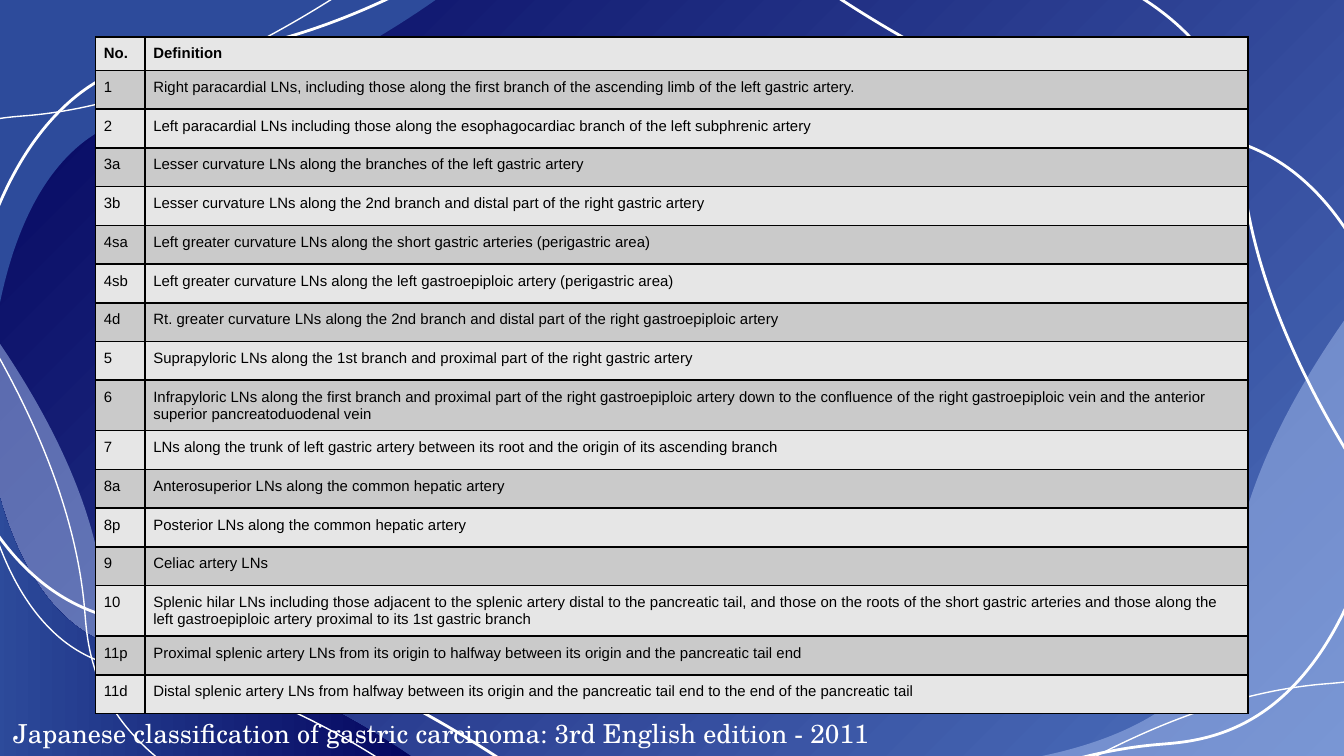
"""Slide listing the lymph node stations of the Japanese gastric carcinoma classification."""
import lxml.etree
import pptx
import pptx.dml.color
import pptx.enum.text
import pptx.oxml.ns
import pptx.util

Pt = pptx.util.Pt
qn = pptx.oxml.ns.qn

INK, WHITE = "000000", "FFFFFF"
NAVY, ROYAL, MID_BLUE, PALE_BLUE = "03045E", "2D4B9B", "4E72BE", "A0B7E9"
ROW_FILLS = ("E6E6E6", "CACACA")

WAVE_RATIO = 1.44
CORNERS = [(0, 0), (0, 1), (1, 1)]
CREST = [
    [(0.725, 0.724), (0.525, 0.644), (0.389, 0.627)],
    [(0.349, 0.622), (0.272, 0.618), (0.194, 0.533)],
    [(0.077, 0.404), (0.025, 0.173), (0, 0)],
]

FILLED_WAVES = [
    (522.4, 207.4, 270, False, PALE_BLUE, 53),
    (0, 0, 180, True, ROYAL, 100),
    (-40.3, 213.1, 90, True, PALE_BLUE, 53),
    (-4.3, 249.1, 0, False, (NAVY, ROYAL), 100),
]
LINE_WAVES = [
    (-10.1, 257.8, 162, 0, False, 0.75),
    (-38.2, 193.7, 225.4, 0, False, 1.5),
    (-82.8, 183.6, 216, 90, True, 0.75),
    (430.6, -13.7, 225.4, 180, False, 1.5),
    (482.4, 15.8, 216, 270, True, 1.5),
    (518.4, 231.1, 216, 0, True, 0.75),
    (429.8, 263.5, 216, 0, True, 1.5),
    (-105.8, -18.7, 216, 180, True, 0.75),
    (-17.3, -51.1, 216, 180, True, 1.5),
]

STATIONS = [
    ("No.", "Definition"),
    ("1", "Right paracardial LNs, including those along the first branch of the ascending limb of the left gastric artery."),
    ("2", "Left paracardial LNs including those along the esophagocardiac branch of the left subphrenic artery"),
    ("3a", "Lesser curvature LNs along the branches of the left gastric artery"),
    ("3b", "Lesser curvature LNs along the 2nd branch and distal part of the right gastric artery"),
    ("4sa", "Left greater curvature LNs along the short gastric arteries (perigastric area)"),
    ("4sb", "Left greater curvature LNs along the left gastroepiploic artery (perigastric area)"),
    ("4d", "Rt. greater curvature LNs along the 2nd branch and distal part of the right gastroepiploic artery"),
    ("5", "Suprapyloric LNs along the 1st branch and proximal part of the right gastric artery"),
    ("6", "Infrapyloric LNs along the first branch and proximal part of the right gastroepiploic artery down to "
          "the confluence of the right gastroepiploic vein and the anterior superior pancreatoduodenal vein"),
    ("7", "LNs along the trunk of left gastric artery between its root and the origin of its ascending branch"),
    ("8a", "Anterosuperior LNs along the common hepatic artery"),
    ("8p", "Posterior LNs along the common hepatic artery"),
    ("9", "Celiac artery LNs"),
    ("10", "Splenic hilar LNs including those adjacent to the splenic artery distal to the pancreatic tail, and those "
           "on the roots of the short gastric arteries and those along the left gastroepiploic artery proximal to "
           "its 1st gastric branch"),
    ("11p", "Proximal splenic artery LNs from its origin to halfway between its origin and the pancreatic tail end"),
    ("11d", "Distal splenic artery LNs from halfway between its origin and the pancreatic tail end to the end of "
            "the pancreatic tail"),
]


def rgb(code):
    return pptx.dml.color.RGBColor.from_string(code)


class Deck:
    def __init__(self, slide):
        self.slide = slide

    def gradient(self, fill, colours, angle):
        fill.gradient()
        fill.gradient_angle = angle
        for stop, colour in zip(fill.gradient_stops, colours):
            stop.color.rgb = rgb(colour)

    def background(self, colours, angle):
        self.gradient(self.slide.background.fill, colours, angle)

    def wave(self, left, top, height, rotation, mirrored):
        width = height * WAVE_RATIO

        def place(point):
            x, y = point
            return Pt(width * (1 - x if mirrored else x)), Pt(height * y)

        anchors = [place(point) for point in CORNERS + [curve[-1] for curve in CREST]]
        builder = self.slide.shapes.build_freeform(*anchors[0], scale=1.0)
        builder.add_line_segments(anchors[1:], close=True)
        wave = builder.convert_to_shape(Pt(left), Pt(top))
        outline = wave._element.spPr.find(".//" + qn("a:path"))
        chords = outline.findall(qn("a:lnTo"))[len(CORNERS) - 1:]
        for chord, curve in zip(chords, CREST):
            bend = lxml.etree.Element(qn("a:cubicBezTo"))
            for x, y in map(place, curve):
                lxml.etree.SubElement(bend, qn("a:pt"), x=str(x), y=str(y))
            outline.replace(chord, bend)
        wave.rotation = rotation
        wave.shadow.inherit = False
        return wave

    def filled_wave(self, left, top, rotation, mirrored, colour, opacity):
        wave = self.wave(left, top, 162, rotation, mirrored)
        wave.line.fill.background()
        if isinstance(colour, tuple):
            self.gradient(wave.fill, colour, 180)
            return
        wave.fill.solid()
        wave.fill.fore_color.rgb = rgb(colour)
        if opacity < 100:
            tint = wave._element.spPr.find(qn("a:solidFill"))[0]
            lxml.etree.SubElement(tint, qn("a:alpha"), val=str(opacity * 1000))

    def line_wave(self, left, top, height, rotation, mirrored, weight):
        wave = self.wave(left, top, height, rotation, mirrored)
        wave.fill.background()
        wave.line.color.rgb = rgb(WHITE)
        wave.line.width = Pt(weight)

    def text(self, paragraph, words, font, size, colour, bold=False):
        run = paragraph.add_run()
        run.text = words
        run.font.name = font
        run.font.size = Pt(size)
        run.font.bold = bold
        run.font.color.rgb = rgb(colour)

    def border(self, cell):
        properties = cell._tc.get_or_add_tcPr()
        for index, side in enumerate(("a:lnL", "a:lnR", "a:lnT", "a:lnB")):
            edge = lxml.etree.Element(qn(side), w=str(Pt(1)))
            paint = lxml.etree.SubElement(edge, qn("a:solidFill"))
            lxml.etree.SubElement(paint, qn("a:srgbClr"), val=INK)
            properties.insert(index, edge)

    def table(self, rows, left, top, widths, header_height, row_height):
        heights = [header_height] + [row_height] * (len(rows) - 1)
        table = self.slide.shapes.add_table(len(rows), len(widths), Pt(left), Pt(top),
                                            Pt(sum(widths)), Pt(sum(heights))).table
        table.horz_banding = False
        for column, width in zip(table.columns, widths):
            column.width = Pt(width)
        for index, (row, height) in enumerate(zip(rows, heights)):
            table.rows[index].height = Pt(height)
            for column, words in enumerate(row):
                cell = table.cell(index, column)
                cell.margin_left = cell.margin_right = Pt(4.5)
                cell.margin_top = cell.margin_bottom = Pt(4.5)
                cell.fill.solid()
                cell.fill.fore_color.rgb = rgb(ROW_FILLS[index % 2])
                self.border(cell)
                self.text(cell.text_frame.paragraphs[0], words, "Arial", 8, INK, index == 0)

    def caption(self, words, left, top, width, height):
        frame = self.slide.shapes.add_textbox(Pt(left), Pt(top), Pt(width), Pt(height)).text_frame
        frame.word_wrap = True
        frame.auto_size = pptx.enum.text.MSO_AUTO_SIZE.SHAPE_TO_FIT_TEXT
        self.text(frame.paragraphs[0], words, "TeX Gyre Schola", 14, WHITE)


def main():
    presentation = pptx.Presentation()
    presentation.slide_width, presentation.slide_height = Pt(720), Pt(405)
    deck = Deck(presentation.slides.add_slide(presentation.slide_layouts[6]))
    deck.background((MID_BLUE, NAVY), 135)
    for wave in FILLED_WAVES:
        deck.filled_wave(*wave)
    for wave in LINE_WAVES:
        deck.line_wave(*wave)
    deck.table(STATIONS, 51.2, 19.7, (26.5, 591), 16, 20.75)
    deck.caption("Japanese classification of gastric carcinoma: 3rd English edition - 2011", 0, 380.8, 517, 24.2)
    presentation.save("out.pptx")


if __name__ == "__main__":
    main()
